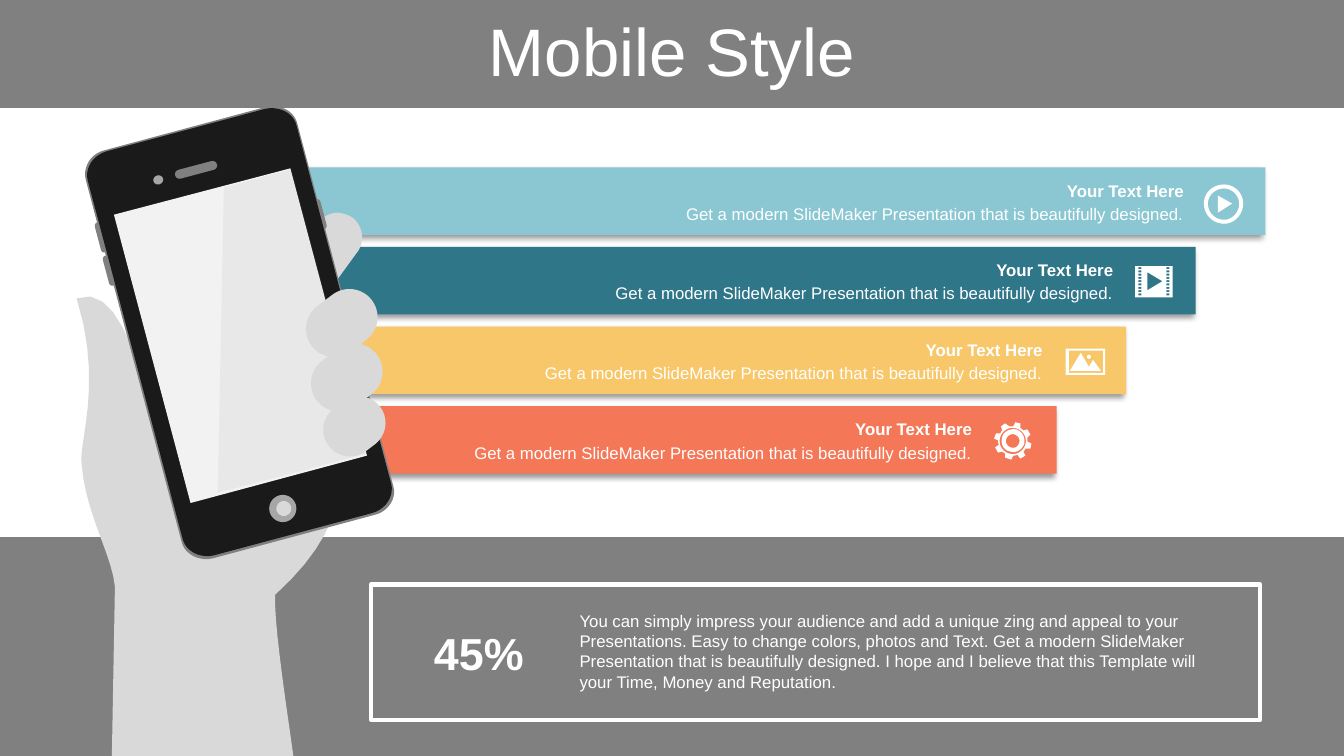
from dataclasses import dataclass

from lxml.etree import SubElement
from pptx import Presentation
from pptx.dml.color import RGBColor
from pptx.enum.shapes import MSO_SHAPE
from pptx.enum.text import MSO_ANCHOR, MSO_AUTO_SIZE, PP_ALIGN
from pptx.oxml.ns import qn
from pptx.util import Inches, Pt


@dataclass(frozen=True)
class Theme:
    """Colours, font and type sizes of the slide."""
    font: str = "Arial"
    white: str = "FFFFFF"
    gray: str = "808080"
    skin: str = "D9D9D9"
    silver: str = "A6A6A6"
    black: str = "1A1A1A"
    screen: str = "F2F2F2"
    glare: str = "999999"
    bars: tuple = ("8AC7D3", "307689", "F7C76A", "F47758")
    title: int = 48
    figure: int = 32
    body: int = 12


THEME = Theme()
TILT = 345.2
CURVE_STEPS = 10
BAR_STEP = 0.79
LABEL_SHIFT = 0.7

HAND = """M 3.33 2.11 C 3.39 2.11 3.46 2.13 3.51 2.17 C 3.61 2.26 3.62 2.42 3.53 2.52
L 2.79 3.54 C 3.14 3.75 3.65 3.88 3.58 4.22 C 3.35 5.02 3.32 5.36 2.73 5.9
C 2.71 6.18 2.87 7.2 2.91 7.5 L 1.11 7.5 L 1.14 5.82 C 1.11 5.5 0.85 5.1 0.81 4.61
C 0.77 4.42 1.03 3.81 0.76 2.96 C 1.24 2.77 1.45 3.96 1.55 4.24
L 3.16 2.2 C 3.2 2.15 3.27 2.12 3.33 2.11"""
PHONE_RIM = """M 2.64 1.06 L 1.04 1.49 C 0.9 1.52 0.82 1.66 0.85 1.78 L 1.8 5.37
C 1.83 5.5 1.97 5.57 2.11 5.54 L 3.71 5.11 C 3.85 5.08 3.94 4.94 3.9 4.82
L 2.95 1.23 C 2.92 1.1 2.78 1.03 2.64 1.06"""
PHONE_FACE = """M 2.63 1.08 L 1.06 1.5 C 0.92 1.54 0.84 1.67 0.87 1.79 L 1.81 5.34
C 1.84 5.47 1.98 5.54 2.12 5.51 L 3.69 5.09 C 3.83 5.05 3.91 4.92 3.88 4.8
L 2.94 1.24 C 2.91 1.12 2.77 1.05 2.63 1.08"""
SCREEN = "M 1.13 2.13 L 2.88 1.67 L 3.64 4.52 L 1.89 4.99"
GLARE = "M 2.22 1.86 L 2.89 1.68 L 3.64 4.5 L 2.16 4.89"
PLAY_ICON = """M 12.08 1.94 L 12.22 2.02 L 12.08 2.11
M 12.14 1.87 C 12.05 1.87 11.98 1.94 11.98 2.02 C 11.98 2.11 12.05 2.18 12.14 2.18
C 12.22 2.18 12.29 2.11 12.29 2.02 C 12.29 1.94 12.22 1.87 12.14 1.87
M 12.14 1.83 C 12.24 1.83 12.33 1.91 12.33 2.02 C 12.33 2.13 12.24 2.22 12.14 2.22
C 12.03 2.22 11.94 2.13 11.94 2.02 C 11.94 1.91 12.03 1.83 12.14 1.83"""
FILM_FRAME = """M 11.38 2.7 L 11.38 2.88 L 11.53 2.79
M 11.26 2.64 L 11.63 2.64 L 11.63 2.95 L 11.26 2.95 """
PHOTO_ICON = """M 10.8 3.52 C 10.81 3.52 10.82 3.53 10.82 3.54
C 10.82 3.55 10.81 3.56 10.8 3.56 C 10.79 3.56 10.78 3.55 10.78 3.54
C 10.78 3.53 10.79 3.52 10.8 3.52
M 10.72 3.5 L 10.8 3.64 L 10.84 3.57 L 10.92 3.68 L 10.61 3.68
M 10.6 3.48 L 10.6 3.7 L 10.94 3.7 L 10.94 3.48
M 10.57 3.46 L 10.96 3.46 L 10.96 3.72 L 10.57 3.72"""
GEAR_RINGS = """M 10.06 4.31 C 10.03 4.3 9.99 4.32 9.98 4.36 C 9.97 4.39 9.99 4.43 10.03 4.44
C 10.07 4.45 10.1 4.43 10.11 4.39 C 10.12 4.36 10.1 4.32 10.06 4.31
M 10.08 4.26 C 10.14 4.28 10.17 4.34 10.16 4.4 C 10.14 4.46 10.08 4.5 10.02 4.48
C 9.96 4.47 9.92 4.41 9.94 4.34 C 9.95 4.28 10.02 4.25 10.08 4.26
M 10.08 4.25 C 10.01 4.23 9.94 4.27 9.92 4.34 C 9.9 4.41 9.94 4.48 10.01 4.5
C 10.08 4.52 10.15 4.48 10.17 4.41 C 10.19 4.34 10.15 4.27 10.08 4.25 """
GEAR_TEETH = """M 10.12 4.2 L 10.12 4.25 C 10.13 4.25 10.14 4.26 10.15 4.27 L 10.19 4.26
L 10.22 4.31 L 10.19 4.34 C 10.19 4.35 10.19 4.36 10.19 4.38 L 10.23 4.4 L 10.22 4.45
L 10.17 4.45 C 10.17 4.46 10.16 4.47 10.15 4.48 L 10.17 4.52 L 10.12 4.55 L 10.09 4.51
C 10.08 4.52 10.06 4.52 10.05 4.52 L 10.03 4.56 L 9.97 4.54 L 9.97 4.5
C 9.96 4.49 9.95 4.49 9.94 4.48 L 9.9 4.49 L 9.87 4.44 L 9.91 4.41
C 9.9 4.4 9.9 4.39 9.9 4.37 L 9.86 4.35 L 9.88 4.3 L 9.92 4.3
C 9.93 4.29 9.93 4.28 9.94 4.27 L 9.93 4.23 L 9.97 4.2 L 10.01 4.23
C 10.02 4.23 10.03 4.23 10.05 4.23 L 10.07 4.19"""


def trace(contour):
    """Turn one contour of lines (L) and curves (C) into points in EMU."""
    points = []
    for piece in contour.replace("L", "|L").replace("C", "|C").split("|"):
        numbers = [float(word) for word in piece.strip("LC \n").split()]
        pairs = list(zip(numbers[::2], numbers[1::2]))
        if piece.startswith("C"):
            corners = list(zip(points[-1], *pairs))
            for step in range(1, CURVE_STEPS + 1):
                t = step / CURVE_STEPS
                weights = ((1 - t) ** 3, 3 * t * (1 - t) ** 2, 3 * t * t * (1 - t), t ** 3)
                points.append(tuple(sum(w * c for w, c in zip(weights, axis)) for axis in corners))
        else:
            points += pairs
    return [(Inches(x), Inches(y)) for x, y in points]


def paint(shape, fill, line=None):
    """Give a shape a flat fill or a plain outline, without a shadow."""
    shape.shadow.inherit = False
    if fill:
        shape.fill.solid()
        shape.fill.fore_color.rgb = RGBColor.from_string(fill)
    else:
        shape.fill.background()
    if line:
        shape.line.color.rgb = RGBColor.from_string(line)
        shape.line.width = Pt(3)
    else:
        shape.line.fill.background()
    return shape


def set_alpha(color, percent):
    """Set the opacity of a colour element."""
    SubElement(color, qn("a:alpha"), val=str(percent * 1000))


def add_outline(page, outline, fill):
    """Draw a freeform of one or more closed contours."""
    first, *others = [trace(contour) for contour in outline.split("M")[1:]]
    builder = page.shapes.build_freeform(*first[0], scale=1.0)
    builder.add_line_segments(first[1:], close=True)
    for points in others:
        builder.move_to(*points[0])
        builder.add_line_segments(points[1:], close=True)
    return paint(builder.convert_to_shape(), fill)


def add_preset(page, kind, place, fill, line=None, rotation=0):
    """Draw a preset shape at left, top, width and height."""
    shape = page.shapes.add_shape(kind, *map(Inches, place))
    shape.rotation = rotation
    if kind == MSO_SHAPE.ROUNDED_RECTANGLE:
        shape.adjustments[0] = 0.5
    return paint(shape, fill, line)


def add_bar(page, place, fill):
    """Draw a coloured bar with a soft shadow."""
    bar = add_preset(page, MSO_SHAPE.RECTANGLE, place, fill)
    effects = bar.element.spPr.find(qn("a:effectLst"))
    shadow = SubElement(effects, qn("a:outerShdw"), blurRad=str(Pt(4)), dist=str(Pt(3)),
                        dir="8100000", algn="tr", rotWithShape="0")
    set_alpha(SubElement(shadow, qn("a:srgbClr"), val="000000"), 40)


def add_text(page, text, place, size, align, bold=False, anchor=MSO_ANCHOR.TOP):
    """Add a wrapped white text box."""
    box = page.shapes.add_textbox(*map(Inches, place))
    frame = box.text_frame
    frame.word_wrap = True
    frame.auto_size = MSO_AUTO_SIZE.NONE
    frame.vertical_anchor = anchor
    frame.text = text
    para = frame.paragraphs[0]
    para.alignment = align
    for span in para.runs:
        span.font.name = THEME.font
        span.font.size = Pt(size)
        span.font.bold = bold
        span.font.color.rgb = RGBColor.from_string(THEME.white)
    return para


def add_phone(page):
    """Draw the tilted phone with its buttons, screen and controls."""
    pill, disc = MSO_SHAPE.ROUNDED_RECTANGLE, MSO_SHAPE.OVAL
    for left, top in ((0.97, 2.2), (1.05, 2.53), (3.14, 1.97)):
        add_preset(page, pill, (left, top, 0.07, 0.31), THEME.gray, rotation=TILT)
    for outline, fill in ((PHONE_RIM, THEME.gray), (PHONE_FACE, THEME.black), (SCREEN, THEME.screen)):
        add_outline(page, outline, fill)
    glare = add_outline(page, GLARE, THEME.glare)
    set_alpha(next(glare.element.spPr.iter(qn("a:srgbClr"))), 10)
    for kind, place, fill in ((disc, (2.67, 4.91, 0.27, 0.27), THEME.silver),
                              (disc, (2.74, 4.97, 0.15, 0.15), THEME.skin),
                              (pill, (1.73, 1.64, 0.43, 0.09), THEME.gray),
                              (disc, (1.52, 1.74, 0.1, 0.09), THEME.silver)):
        add_preset(page, kind, place, fill, rotation=TILT)


def film_icon():
    """Build the film frame with two columns of sprocket holes."""
    holes = [f"M {x} {y} L {x} {y + 0.02} L {x + 0.03} {y + 0.02} L {x + 0.03} {y} "
             for x in (11.29, 11.57) for y in (2.65 + row * 0.26 / 8 for row in range(9))]
    return FILM_FRAME + "".join(holes)


def main():
    """Build the slide and save it."""
    deck = Presentation()
    deck.slide_width, deck.slide_height = Inches(13.33), Inches(7.5)
    page = deck.slides.add_slide(deck.slide_layouts[6])
    add_preset(page, MSO_SHAPE.RECTANGLE, (0, 5.33, 13.33, 2.17), THEME.gray)
    for row, fill in enumerate(THEME.bars):
        add_bar(page, (3.06, 1.66 + row * BAR_STEP, 9.49 - row * 0.69, 0.67), fill)
    add_preset(page, MSO_SHAPE.RECTANGLE, (0, 0, 13.33, 1.07), THEME.gray)
    add_outline(page, HAND, THEME.skin)
    add_phone(page)
    title = add_text(page, "Mobile Style", (0, 0.15, 13.33, 0.78), THEME.title,
                     PP_ALIGN.CENTER, anchor=MSO_ANCHOR.MIDDLE)
    title.line_spacing = 0.9
    for row in range(len(THEME.bars)):
        left, top = 6.45 - row * LABEL_SHIFT, 1.74 + row * BAR_STEP
        add_text(page, "Get a modern SlideMaker Presentation that is beautifully designed.",
                 (left, top + 0.23, 5.39, 0.3), THEME.body, PP_ALIGN.RIGHT)
        add_text(page, "Your Text Here", (left, top, 5.39, 0.3), THEME.body, PP_ALIGN.RIGHT, bold=True)
    for finger in ((3.11, 2.83, 0.56, 0.75), (3.16, 3.37, 0.56, 0.75), (3.25, 3.91, 0.53, 0.64)):
        add_preset(page, MSO_SHAPE.ROUNDED_RECTANGLE, finger, THEME.skin, rotation=52.5)
    add_preset(page, MSO_SHAPE.RECTANGLE, (3.68, 5.8, 8.82, 1.34), None, line=THEME.white)
    add_text(page, "45%", (4.12, 6.15, 1.26, 0.64), THEME.figure, PP_ALIGN.CENTER,
             bold=True, anchor=MSO_ANCHOR.MIDDLE)
    add_text(page, "You can simply impress your audience and add a unique zing and appeal to your "
             "Presentations. Easy to change colors, photos and Text. Get a modern SlideMaker "
             "Presentation that is beautifully designed. I hope and I believe that this Template "
             "will your Time, Money and Reputation.", (5.65, 6.01, 6.47, 0.91), THEME.body, PP_ALIGN.LEFT)
    for icon in (PLAY_ICON, film_icon(), PHOTO_ICON, GEAR_RINGS + GEAR_TEETH):
        add_outline(page, icon, THEME.white)
    deck.save("out.pptx")


if __name__ == "__main__":
    main()
